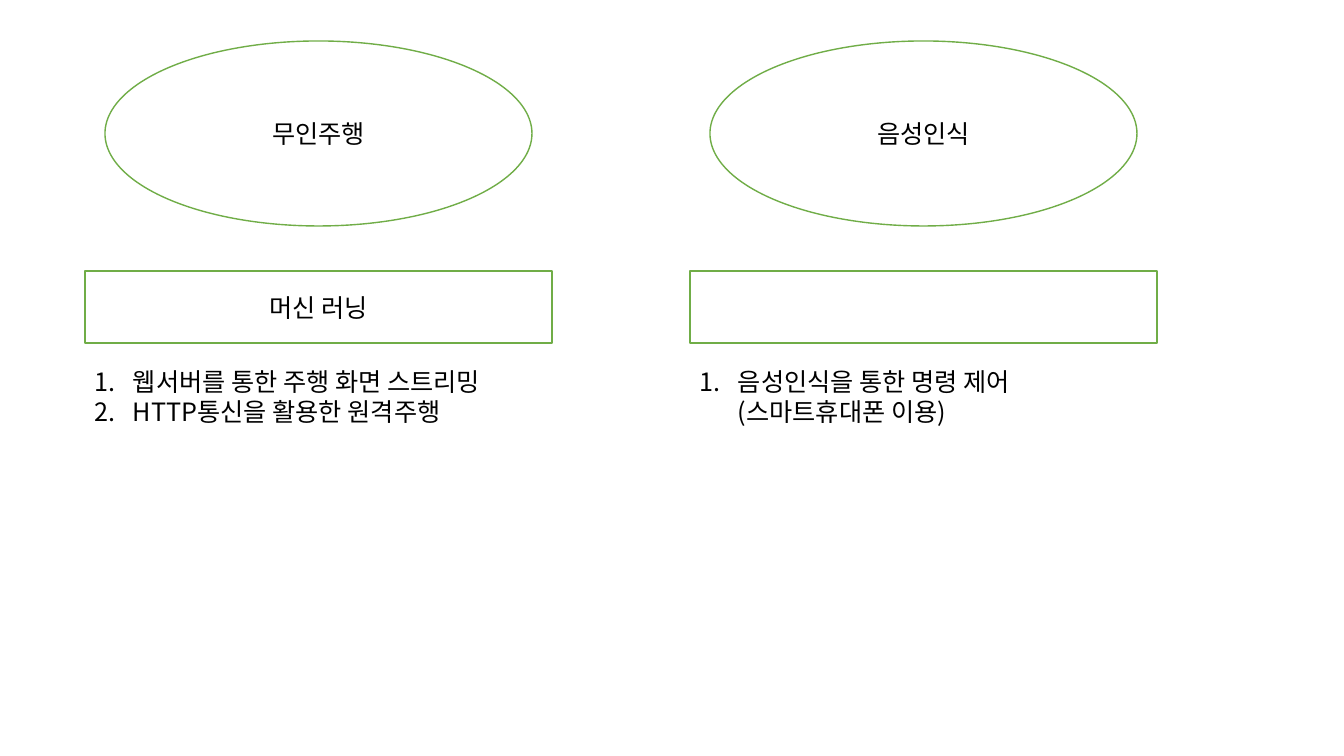
"""Build a slide with two project topics, each with a heading box and a numbered list."""
from lxml import etree
from pptx import Presentation
from pptx import util as u
from pptx.dml.color import RGBColor
from pptx.enum import shapes, text
from pptx.oxml.ns import qn

COLORS = {"fill": "FFFFFF", "outline": "70AD47", "text": "000000"}
FONT = "Noto Sans CJK KR"
COLUMN_LEFT, COLUMN_STEP, COLUMN_WIDTH = 85, 605, 467
ELLIPSE_INSET = 20
INDENT = 38
TOPICS = [
    ("무인주행", "머신 러닝", ["웹서버를 통한 주행 화면 스트리밍", "HTTP통신을 활용한 원격주행"]),
    ("음성인식", "", ["음성인식을 통한 명령 제어(스마트휴대폰 이용)"]),
]


def px(length):
    return u.Emu(round(length * 12192000 / 1344))


def write_text(shape, lines, alignment):
    shape.text_frame.word_wrap = True
    shape.text_frame.text = "\n".join(lines)
    for paragraph in shape.text_frame.paragraphs:
        paragraph.alignment = alignment
        for run in paragraph.runs:
            run.font.size = u.Pt(18)
            run.font.color.rgb = RGBColor.from_string(COLORS["text"])
            run.font.name = FONT
            etree.SubElement(run.font._element, qn("a:ea")).set("typeface", FONT)


presentation = Presentation()
presentation.slide_width, presentation.slide_height = px(1344), px(756)
slide = presentation.slides.add_slide(presentation.slide_layouts[6])

for column, (topic, method, features) in enumerate(TOPICS):
    left = COLUMN_LEFT + column * COLUMN_STEP
    outlined = [
        (shapes.MSO_SHAPE.OVAL, ELLIPSE_INSET, 41, 185, topic),
        (shapes.MSO_SHAPE.RECTANGLE, 0, 271, 72, method),
    ]
    for kind, inset, top, height, label in outlined:
        shape = slide.shapes.add_shape(
            kind, px(left + inset), px(top), px(COLUMN_WIDTH - 2 * inset), px(height))
        shape.shadow.inherit = False
        shape.fill.solid()
        shape.fill.fore_color.rgb = RGBColor.from_string(COLORS["fill"])
        shape.line.color.rgb = RGBColor.from_string(COLORS["outline"])
        shape.line.width = u.Pt(1)
        shape.text_frame.vertical_anchor = text.MSO_ANCHOR.MIDDLE
        write_text(shape, [label], text.PP_ALIGN.CENTER)

    feature_list = slide.shapes.add_textbox(px(left), px(361), px(COLUMN_WIDTH), px(72))
    write_text(feature_list, features, text.PP_ALIGN.LEFT)
    feature_list.text_frame.auto_size = text.MSO_AUTO_SIZE.SHAPE_TO_FIT_TEXT
    for paragraph in feature_list.text_frame.paragraphs:
        properties = paragraph._p.get_or_add_pPr()
        properties.set("marL", str(px(INDENT)))
        properties.set("indent", str(-px(INDENT)))
        etree.SubElement(properties, qn("a:buFont")).set("typeface", "+mj-lt")
        etree.SubElement(properties, qn("a:buAutoNum")).set("type", "arabicPeriod")

presentation.save("out.pptx")
